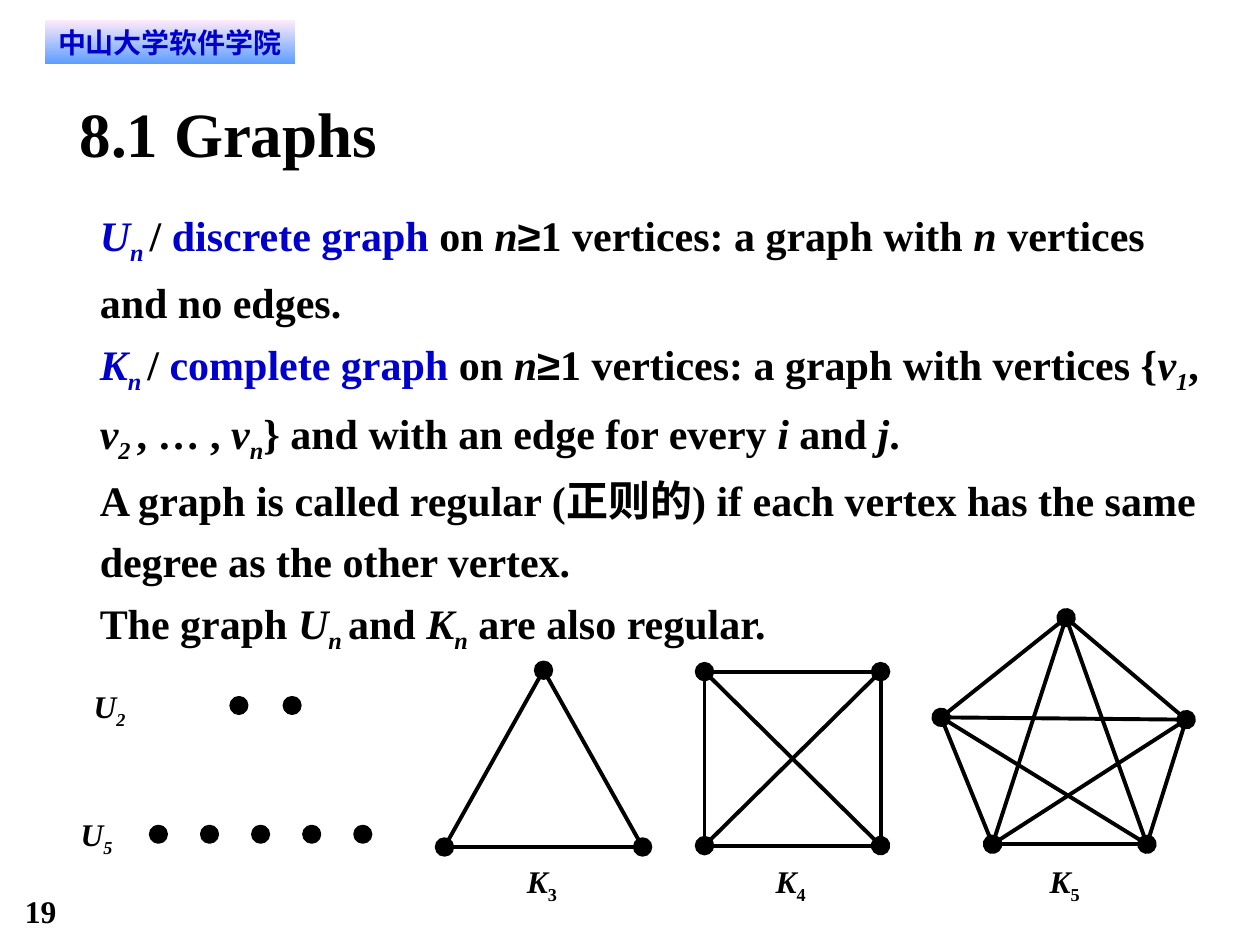
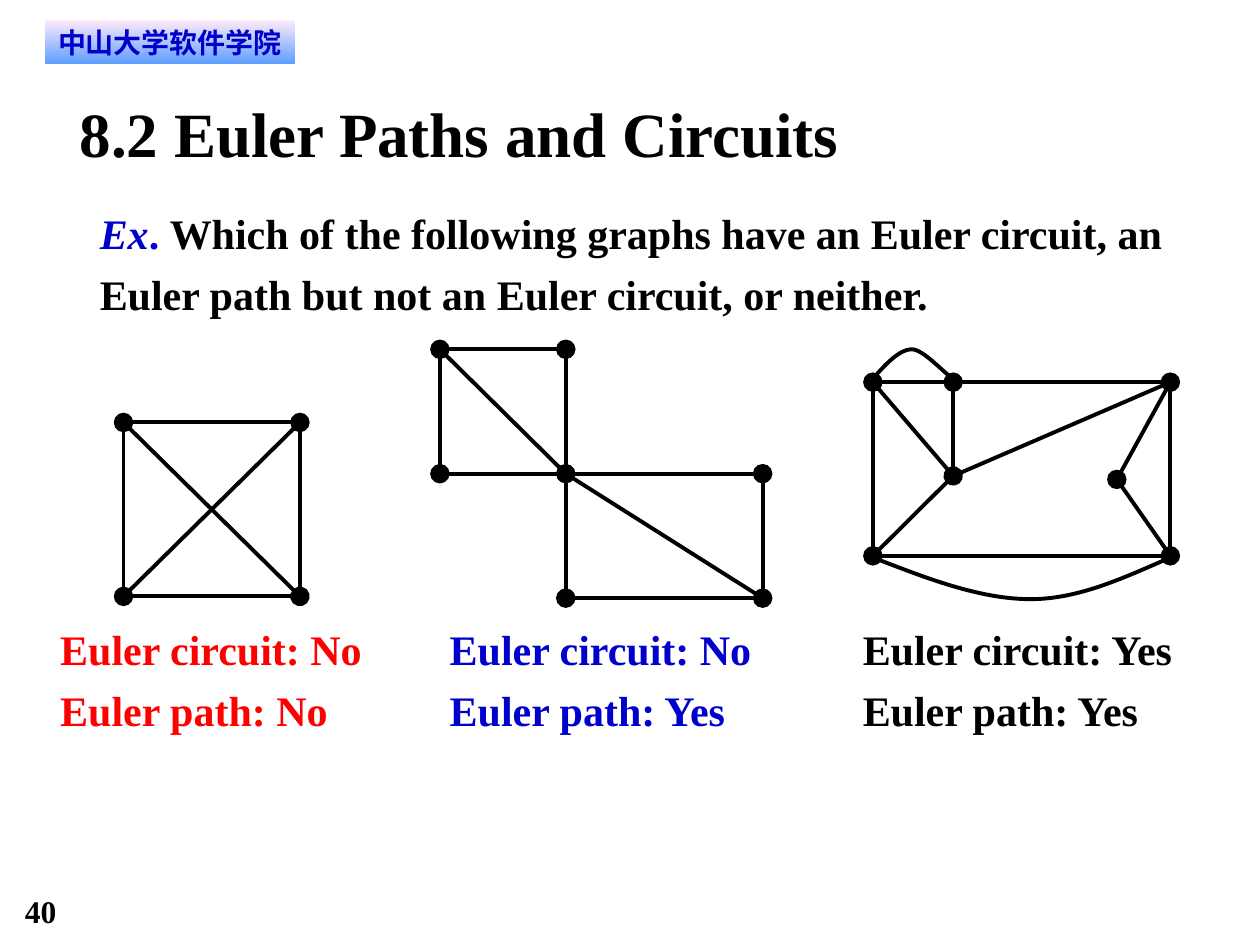
from dataclasses import dataclass
from itertools import combinations

from lxml import etree
from pptx import Presentation
from pptx.dml.color import RGBColor
from pptx.enum.shapes import MSO_CONNECTOR, MSO_SHAPE
from pptx.enum.text import MSO_ANCHOR, MSO_AUTO_SIZE, PP_ALIGN
from pptx.oxml.ns import qn
from pptx.util import Pt

LINE = MSO_CONNECTOR.STRAIGHT
RECT, OVAL = MSO_SHAPE.RECTANGLE, MSO_SHAPE.OVAL
TOP, MIDDLE = MSO_ANCHOR.TOP, MSO_ANCHOR.MIDDLE
FIXED = MSO_AUTO_SIZE.NONE
LEFT, CENTER = PP_ALIGN.LEFT, PP_ALIGN.CENTER


@dataclass(frozen=True)
class Theme:
    """Colours, fonts and sizes shared by the slides."""
    ink: RGBColor = RGBColor(0, 0, 0)
    blue: RGBColor = RGBColor(0, 0, 0xCC)
    red: RGBColor = RGBColor(0xFF, 0, 0)
    pale: RGBColor = RGBColor(0xFF, 0xEB, 0xFA)
    sky: RGBColor = RGBColor(0x5E, 0x9E, 0xFF)
    serif: str = "Times New Roman"
    sans: str = "Arial"
    badge: str = "DejaVu Sans"
    title: int = 36
    body: int = 24
    label: int = 18
    small: int = 16
    stroke: float = 2.25
    dot: float = 8.64
    lead: float = 1.2


T = Theme()

SQUARE = [(0, 0), (0, 1), (1, 1), (1, 0)]
TRIANGLE = [(0.5, 0), (0, 1), (1, 1)]
PENTAGON = [(0.51, 0), (1, 0.45), (0.84, 1), (0.21, 1), (0, 0.44)]

BOWTIE = [(0, 0), (0.39, 0), (0, 0.5), (0.39, 0.5), (1, 0.5), (0.39, 1), (1, 1)]
BOWTIE_EDGES = [(0, 2), (1, 3), (0, 1), (2, 3), (3, 5), (4, 6), (3, 4),
                (5, 6), (0, 3), (3, 6)]

FRAME = [(0, 0), (0.27, 0), (1, 0), (0, 1), (1, 1), (0.27, 0.54), (0.82, 0.56)]
FRAME_EDGES = [(0, 3), (2, 4), (0, 2), (3, 4), (0, 5), (3, 5), (1, 5),
               (2, 6), (4, 6), (2, 5)]
FRAME_ARCS = [
    [(0, -0.02), (0.04, -0.1), (0.09, -0.19), (0.13, -0.19),
     (0.17, -0.19), (0.24, -0.05), (0.27, -0.02)],
    [(0, 1.01), (0.18, 1.13), (0.36, 1.25), (0.53, 1.25),
     (0.69, 1.25), (0.84, 1.13), (1, 1.01)],
]

GRAPH_TEXT = [
    [("U", "ib"), ("n ", "ibs"), ("/ ", ""), ("discrete graph", "b"),
     (" on ", ""), ("n", "i"), ("≥", "a"), ("1 vertices: a graph with ", ""),
     ("n", "i"), (" vertices and no edges.", "")],
    [("K", "ib"), ("n ", "ibs"), ("/ ", ""), ("complete graph", "b"),
     (" on ", ""), ("n", "i"), ("≥", "a"),
     ("1 vertices: a graph with vertices {", ""), ("v", "i"), ("1", "is"),
     (", ", ""), ("v", "i"), ("2 ", "is"), (", … , ", ""), ("v", "i"),
     ("n", "is"), ("} and with an edge for every ", ""), ("i", "i"),
     (" and ", ""), ("j", "i"), (".", "")],
    [("A graph is called regular (正则的) if each vertex has the same degree "
      "as the other vertex.", "")],
    [("The graph ", ""), ("U", "i"), ("n ", "is"), ("and ", ""), ("K", "i"),
     ("n", "is"), (" are also regular.", "")],
]

EULER_TEXT = [
    [("Ex", "ib"), (". ", "b"),
     ("Which of the following graphs have an Euler circuit, an Euler path "
      "but not an Euler circuit, or neither.", "")],
]


def write(frame, paras, size, lead=1.0, align=LEFT, font=T.serif):
    """Fill a frame run by run; marks are i(talic), s(ub), b(lue), r(ed), a(rial)."""
    for n, runs in enumerate(paras):
        para = frame.add_paragraph() if n else frame.paragraphs[0]
        props = para._p.get_or_add_pPr()
        props.set("marL", "0")
        props.set("indent", "0")
        etree.SubElement(props, qn("a:buNone"))
        para.alignment, para.line_spacing = align, lead
        para.space_before = Pt(0)
        for text, marks in runs:
            run = para.add_run()
            run.text = text
            face = run.font
            face.size, face.bold, face.italic = Pt(size), True, "i" in marks
            face.name = T.sans if "a" in marks else font
            face.color.rgb = (T.blue if "b" in marks else
                              T.red if "r" in marks else T.ink)
            if "s" in marks:
                run._r.get_or_add_rPr().set("baseline", "-25000")


def setup(frame, wrap=True, anchor=TOP):
    """Clear the margins of a frame and fix its size."""
    frame.auto_size, frame.word_wrap = FIXED, wrap
    frame.vertical_anchor = anchor
    frame.margin_left = frame.margin_right = Pt(0)
    frame.margin_top = frame.margin_bottom = Pt(0)
    return frame


def place(holder, box):
    """Move a placeholder to a box and return its frame."""
    holder.left, holder.top, holder.width, holder.height = map(Pt, box)
    return setup(holder.text_frame)


def note(slide, box, paras, size, wrap=True, lead=1.0):
    """Add a plain text box."""
    shape = slide.shapes.add_textbox(*map(Pt, box))
    write(setup(shape.text_frame, wrap), paras, size, lead)


def label(slide, left, top, name, index, marks):
    """Add a graph name with its lowered index."""
    note(slide, (left, top, 24, 24.5), [[(name, "i"), (index, marks)]],
         T.label, False)


def badge(slide, box):
    """Draw the school badge in a box."""
    shape = slide.shapes.add_shape(RECT, *map(Pt, box))
    shape.shadow.inherit = False
    shape.line.fill.background()
    shape.fill.gradient()
    shape.fill.gradient_angle = 270
    for stop, color in zip(shape.fill.gradient_stops, (T.pale, T.sky)):
        stop.color.rgb = color
    write(setup(shape.text_frame, False, MIDDLE),
          [[("中山大学软件学院", "b")]], T.small, align=CENTER, font=T.badge)


def base(deck, title, number, paras, box):
    """Start a slide with badge, title, body text and page number."""
    slide = deck.slides.add_slide(deck.slide_layouts[1])
    badge(slide, (25.5, 11.5, 143, 25))
    write(place(slide.shapes.title, (45.5, 54, 630, 43)),
          [[(title, "")]], T.title)
    write(place(slide.placeholders[1], box), paras, T.body, T.lead)
    note(slide, (14.2, 510, 54, 21.6), [[(number, "")]], T.label)
    return slide


def pen(shape):
    """Give a shape the common black outline."""
    shape.line.color.rgb, shape.line.width = T.ink, Pt(T.stroke)


def edge(group, start, end, ends):
    """Draw one edge, with round dots at the named ends."""
    line = group.shapes.add_connector(LINE, *map(Pt, start + end))
    pen(line)
    for tag in ends:
        etree.SubElement(line.line._get_or_add_ln(), qn(tag),
                         type="oval", w="lg", len="lg")
    etree.SubElement(line._element.spPr, qn("a:effectLst"))


def arc(group, points):
    """Draw a chain of cubic curves through anchors and handles."""
    spots = [tuple(map(Pt, point)) for point in points]
    maker = group.shapes.build_freeform(*spots[0])
    maker.add_line_segments(spots[1:], close=False)
    shape = maker.convert_to_shape()
    shape.shadow.inherit = False
    shape.fill.background()
    pen(shape)
    track = next(shape._element.iter(qn("a:path")))
    steps = track.findall(qn("a:lnTo"))
    for n in range(0, len(steps), 3):
        curve = etree.SubElement(track, qn("a:cubicBezTo"))
        for step in steps[n:n + 3]:
            curve.append(step[0])
            track.remove(step)


def graph(slide, box, nodes, edges=None, arcs=()):
    """Draw a graph in a box; each node is dotted by the first edge to reach it."""
    left, top, width, height = box
    group = slide.shapes.add_group_shape()

    def spot(node):
        """Turn box shares into points."""
        return left + node[0] * width, top + node[1] * height

    seen = set()
    for pair in edges or combinations(range(len(nodes)), 2):
        ends = [tag for tag, node in zip(("a:headEnd", "a:tailEnd"), pair)
                if node not in seen]
        seen.update(pair)
        edge(group, *(spot(nodes[node]) for node in pair), ends)
    for points in arcs:
        arc(group, [spot(point) for point in points])


def dots(slide, left, top, count, gap):
    """Draw a row of loose vertices."""
    group = slide.shapes.add_group_shape()
    for n in range(count):
        shape = group.shapes.add_shape(
            OVAL, Pt(left + n * gap), Pt(top), Pt(T.dot), Pt(T.dot))
        shape.shadow.inherit = False
        shape.fill.solid()
        shape.fill.fore_color.rgb = T.ink
        pen(shape)


def kinds(deck):
    """Build the slide on discrete and complete graphs."""
    slide = base(deck, "8.1 Graphs", "19", GRAPH_TEXT, (57, 113, 636, 261))
    dots(slide, 132.2, 398.8, 2, 30.4)
    dots(slide, 86.2, 472.4, 5, 29.2)
    label(slide, 53.5, 392.4, "U", "2", "is")
    label(slide, 46, 465.8, "U", "5", "is")
    graph(slide, (254, 383, 113.2, 101), TRIANGLE)
    graph(slide, (402.6, 383.8, 100.6, 99.4), SQUARE)
    graph(slide, (537.8, 353, 140, 129.4), PENTAGON)
    for left, index in ((301, "3"), (443.2, "4"), (599.8, "5")):
        label(slide, left, 492.4, "K", index, "s")


def euler(deck):
    """Build the slide asking for Euler circuits and paths."""
    slide = base(deck, "8.2 Euler Paths and Circuits", "40", EULER_TEXT,
                 (57, 113, 626.4, 69))
    graph(slide, (70.6, 241.4, 100.8, 99.4), SQUARE)
    graph(slide, (251.4, 199.6, 184.4, 142.2), BOWTIE, BOWTIE_EDGES)
    graph(slide, (498.8, 218.4, 170, 99.2), FRAME, FRAME_EDGES, FRAME_ARCS)
    for left, ring, trail, mark in ((34.4, "No", "No", "r"),
                                    (257, "No", "Yes", "b"),
                                    (493, "Yes", "Yes", "")):
        note(slide, (left, 350.6, 182, 104),
             [[(f"Euler circuit: {ring}", mark)],
              [(f"Euler path: {trail}", mark)]], T.body, lead=T.lead)


def main():
    """Build and save the deck."""
    deck = Presentation()
    deck.slide_width, deck.slide_height = Pt(720), Pt(540)
    kinds(deck)
    euler(deck)
    deck.save("out.pptx")


if __name__ == "__main__":
    main()
